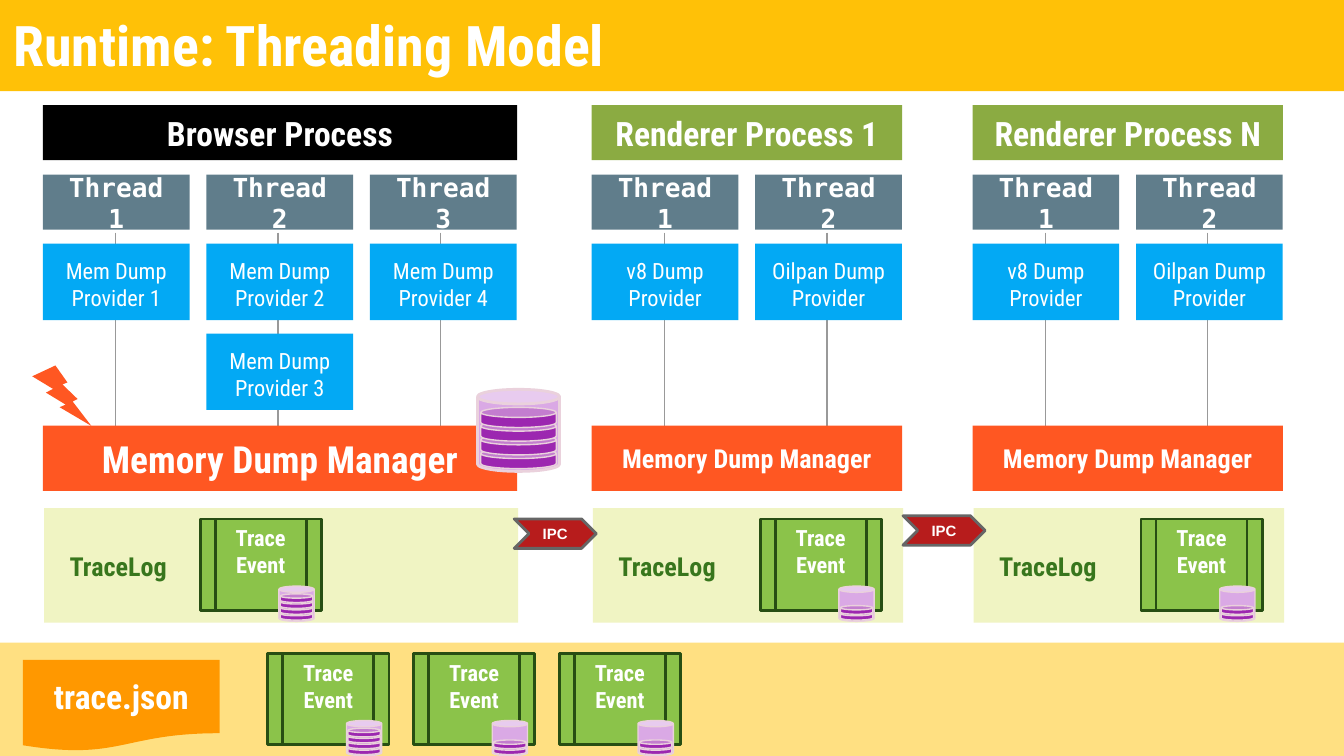
import pptx
import pptx.dml.color
import pptx.enum.shapes
import pptx.enum.text
import pptx.oxml.ns
import pptx.util
from lxml import etree

Pt = pptx.util.Pt
RGBColor = pptx.dml.color.RGBColor
Shape = pptx.enum.shapes.MSO_SHAPE
Anchor = pptx.enum.text.MSO_ANCHOR
Align = pptx.enum.text.PP_ALIGN

WHITE = RGBColor(0xFF, 0xFF, 0xFF)
BLACK = RGBColor(0x00, 0x00, 0x00)
AMBER = RGBColor(0xFF, 0xC1, 0x07)
PALE_AMBER = RGBColor(0xFF, 0xE0, 0x82)
ORANGE = RGBColor(0xFF, 0x98, 0x00)
DEEP_ORANGE = RGBColor(0xFF, 0x57, 0x22)
OLIVE = RGBColor(0x8B, 0xAB, 0x42)
SLATE = RGBColor(0x60, 0x7D, 0x8B)
BLUE = RGBColor(0x03, 0xA9, 0xF4)
PALE_LIME = RGBColor(0xF0, 0xF4, 0xC3)
GREEN = RGBColor(0x8B, 0xC3, 0x4A)
DARK_GREEN = RGBColor(0x27, 0x4E, 0x13)
TEXT_GREEN = RGBColor(0x38, 0x76, 0x1D)
LILAC = RGBColor(0xDA, 0xA9, 0xE5)
PURPLE = RGBColor(0x9C, 0x27, 0xB0)
PALE_PINK = RGBColor(0xEA, 0xD1, 0xDC)
RED = RGBColor(0xB7, 0x1C, 0x1C)
GRAY = RGBColor(0x99, 0x99, 0x99)
DARK_GRAY = RGBColor(0x66, 0x66, 0x66)

SANS = "Roboto Condensed"
MONO = "DejaVu Sans Mono"
INSET = 7.2

THREAD_WIDTH = 78.6
THREAD_PITCH = 87.6
PROVIDER_PITCH = 48.2
FILE_EVENT_PITCH = 78.1

RENDERER_PROVIDERS = [["v8 Dump Provider"], ["Oilpan Dump Provider"]]
# name, left, width, header colour, manager text size,
# trace event offset, filled discs, providers of each thread
PROCESSES = [
    ("Browser Process", 23, 254, BLACK, 20, 84.2, 4,
     [["Mem Dump Provider 1"],
      ["Mem Dump Provider 2", "Mem Dump Provider 3"],
      ["Mem Dump Provider 4"]]),
    ("Renderer Process 1", 317, 166.3, OLIVE, 14, 90.2, 2, RENDERER_PROVIDERS),
    ("Renderer Process N", 521, 166.3, OLIVE, 14, 90.2, 2, RENDERER_PROVIDERS),
]


class Diagram:
    def __init__(self, page):
        self.page = page

    def set_text(self, box, text, size, color=WHITE, font=SANS, bold=True,
                 align=Align.CENTER, anchor=Anchor.MIDDLE):
        frame = box.text_frame
        frame.text = text
        frame.word_wrap = True
        frame.auto_size = pptx.enum.text.MSO_AUTO_SIZE.NONE
        frame.vertical_anchor = anchor
        frame.margin_left = frame.margin_right = Pt(INSET)
        frame.margin_top = frame.margin_bottom = Pt(INSET)
        for para in frame.paragraphs:
            para.alignment = align
            for span in para.runs:
                span.font.name = font
                span.font.size = Pt(size)
                span.font.bold = bold
                span.font.color.rgb = color

    def title(self, text, width, height):
        box = self.page.shapes.title
        box.left, box.top, box.width, box.height = 0, 0, Pt(width), Pt(height)
        box.fill.solid()
        box.fill.fore_color.rgb = AMBER
        self.set_text(box, text, 30, align=Align.LEFT, anchor=Anchor.BOTTOM)

    def shape(self, kind, left, top, width, height, fill, line=None, weight=0.75):
        box = self.page.shapes.add_shape(kind, Pt(left), Pt(top), Pt(width), Pt(height))
        box.shadow.inherit = False
        box.fill.solid()
        box.fill.fore_color.rgb = fill
        if line is None:
            box.line.fill.background()
        else:
            box.line.color.rgb = line
            box.line.width = Pt(weight)
        return box

    def block(self, text, left, top, width, height, fill, size, **style):
        box = self.shape(Shape.RECTANGLE, left, top, width, height, fill)
        self.set_text(box, text, size, **style)

    def label(self, text, left, top, width, height, size, color):
        box = self.page.shapes.add_textbox(Pt(left), Pt(top), Pt(width), Pt(height))
        self.set_text(box, text, size, color, align=Align.LEFT)

    def thread_line(self, x, top, bottom):
        line = self.page.shapes.add_connector(
            pptx.enum.shapes.MSO_CONNECTOR.STRAIGHT, Pt(x), Pt(top), Pt(x), Pt(bottom))
        line.line.color.rgb = GRAY
        line.line.width = Pt(0.75)
        etree.SubElement(line._element.spPr, pptx.oxml.ns.qn("a:effectLst"))

    def buffer(self, left, top, size, discs, weight=0.75):
        """Draw a glass cylinder with discs stacked from its bottom."""
        glass = self.shape(Shape.CAN, left, top, size, size, LILAC, PALE_PINK, weight)
        glass.adjustments[0] = 0.178
        for level in range(discs):
            disc = self.shape(Shape.CAN, left + 0.04 * size,
                              top + (0.72 - level / 6) * size,
                              0.92 * size, 0.245 * size, PURPLE, PALE_PINK)
            disc.adjustments[0] = 0.5

    def trace_event(self, left, top, discs):
        box = self.shape(Shape.FLOWCHART_PREDEFINED_PROCESS, left, top, 65, 49,
                         GREEN, DARK_GREEN, 1.5)
        self.set_text(box, "Trace\nEvent", 12, anchor=Anchor.TOP)
        box.text_frame.margin_top = Pt(3)
        box.text_frame.margin_bottom = 0
        self.buffer(left + 42.2, top + 36, 18.9, discs)

    def ipc(self, left, top):
        box = self.shape(Shape.CHEVRON, left, top, 44, 15.8, RED, DARK_GRAY, 1.5)
        self.set_text(box, "IPC", 8, font="Arial")
        box.text_frame.word_wrap = False

    def process(self, name, left, width, color, manager_size, event_offset, discs, threads):
        self.block(name, left, 56.3, width, 29.5, color, 18)
        for column, providers in enumerate(threads):
            x = left + column * THREAD_PITCH
            self.thread_line(left + 39 + column * 87, 124.6, 248.4)
            self.block(f"Thread {column + 1}", x, 93.6, THREAD_WIDTH, 29.5,
                       SLATE, 14, font=MONO)
            for row, provider in enumerate(providers):
                self.block(provider, x, 130.5 + row * PROVIDER_PITCH, THREAD_WIDTH, 41,
                           BLUE, 12, bold=False, anchor=Anchor.TOP)
        self.block("Memory Dump Manager", left, 228, width, 35, DEEP_ORANGE, manager_size)
        self.shape(Shape.RECTANGLE, left + 0.6, 272.2, width, 61.4, PALE_LIME)
        self.label("TraceLog", left + 7.2, 278.6, 99.4, 49, 14, TEXT_GREEN)
        self.trace_event(left + event_offset, 278, discs)

    def trace_file(self):
        self.shape(Shape.RECTANGLE, 0, 344.3, 720, 60.7, PALE_AMBER)
        document = self.shape(Shape.FLOWCHART_DOCUMENT, 12.3, 353.5, 105.4, 49, ORANGE)
        self.set_text(document, "trace.json", 18)
        for column, process in enumerate(PROCESSES):
            self.trace_event(143.4 + column * FILE_EVENT_PITCH, 350, process[6])


def main():
    deck = pptx.Presentation()
    deck.slide_width, deck.slide_height = Pt(720), Pt(405)
    page = deck.slides.add_slide(deck.slide_layouts[5])
    diagram = Diagram(page)
    diagram.title("Runtime: Threading Model", 720, 48.8)
    for process in PROCESSES:
        diagram.process(*process)
    diagram.trace_file()
    diagram.ipc(275.5, 278)
    diagram.ipc(483.8, 276.3)
    diagram.shape(Shape.LIGHTNING_BOLT, 17.3, 195.8, 31.7, 32.4, DEEP_ORANGE)
    diagram.buffer(255.8, 208.6, 44, 4, 1.5)
    deck.save("out.pptx")


if __name__ == "__main__":
    main()
